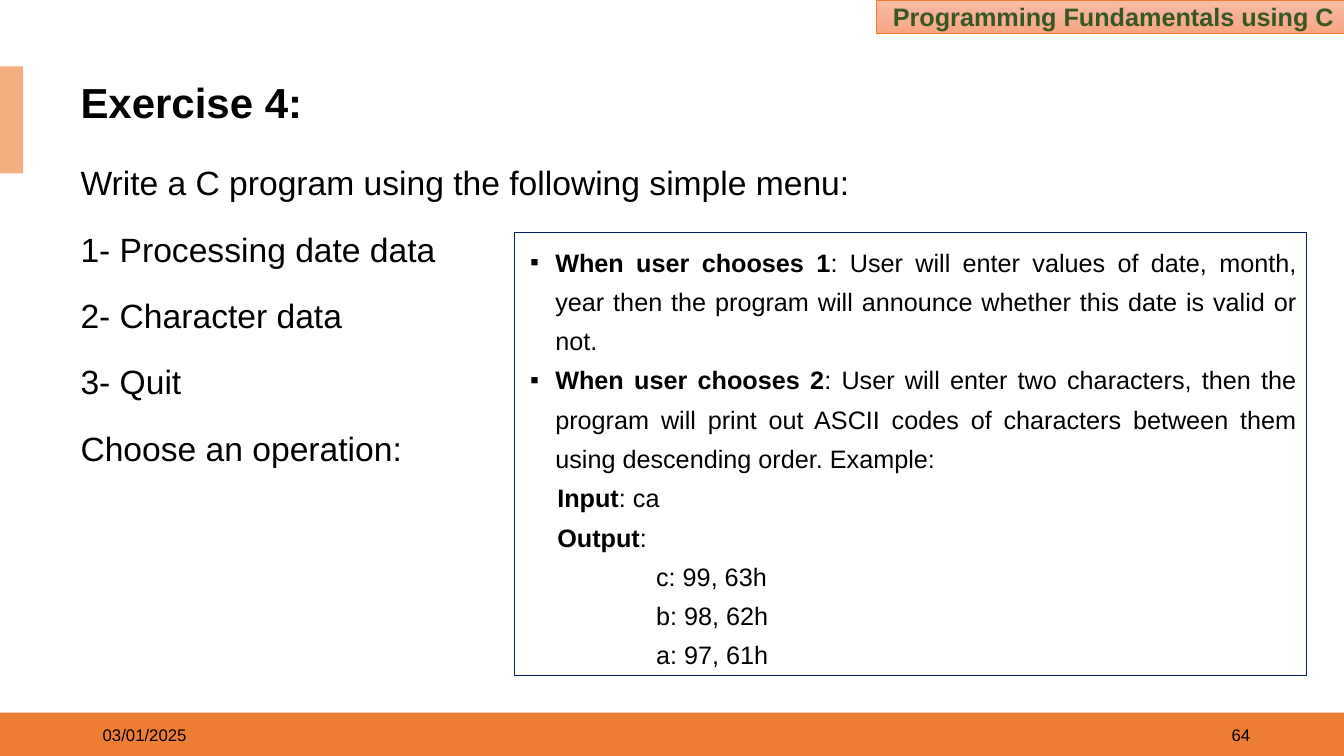
from copy import deepcopy

from lxml.etree import SubElement as Sub
from pptx import Presentation
from pptx.dml.color import RGBColor as RGB
from pptx.enum.shapes import MSO_SHAPE as Kind
from pptx.enum.text import MSO_ANCHOR as Anchor, MSO_AUTO_SIZE as Fit, PP_ALIGN as Align
from pptx.oxml.ns import qn
from pptx.util import Inches, Pt

HUES = {
    "bar": "ED7D31", "tab": "F4AF80", "tag": "385723", "ink": "000000",
    "paper": "FFFFFF", "navy": "002060",
}
BLEND = [(0, "F7BDA5"), (0.5, "F5B196"), (1, "F8A582")]

MENU = [
    "Write a C program using the following simple menu:",
    "1- Processing date data",
    "2- Character data",
    "3- Quit",
    "Choose an operation:",
]
# Each task line: left margin, bullet, bold part, plain part
TASKS = [
    (0.31, "▪", "When user chooses 1", ": User will enter values of date, month, year then "
     "the program will announce whether this date is valid or not."),
    (0.31, "▪", "When user chooses 2", ": User will enter two characters, then the program "
     "will print out ASCII codes of characters between them using descending order. Example:"),
    (0.33, "", "Input", ": ca"),
    (0.33, "", "Output", ":"),
    (1.31, "", "", "c: 99, 63h"),
    (1.31, "", "", "b: 98, 62h"),
    (1.31, "", "", "a: 97, 61h"),
]


def apply(item, **vals):
    for key, val in vals.items():
        setattr(item, key, val)


def tone(name):
    return RGB.from_string(HUES[name])


class Deck:
    """Holds the style and the current slide."""

    def __init__(self, font="Arial"):
        self.font = font
        self.prs = Presentation()
        apply(self.prs, slide_width=Inches(13.33), slide_height=Inches(7.5))
        self.slide = self.prs.slides.add_slide(self.prs.slide_layouts[6])

    def rect(self, area, fill=None, line=None, width=0.75):
        box = self.slide.shapes.add_shape(Kind.RECTANGLE, *map(Inches, area))
        box.shadow.inherit = False
        self.paint(box, fill)
        if line:
            box.line.color.rgb = tone(line)
            box.line.width = Pt(width)
        else:
            box.line.fill.background()
        return box

    def paint(self, box, fill):
        if fill:
            box.fill.solid()
            box.fill.fore_color.rgb = tone(fill)
        else:
            box.fill.background()

    def blend(self, box, stops):
        """Fill a box with a top-down gradient."""
        box.fill.gradient()
        box.fill.gradient_angle = 270
        first = box._element.spPr.find(qn("a:gradFill")).find(qn("a:gsLst"))[0]
        for _ in stops[2:]:
            first.addnext(deepcopy(first))
        for stop, (pos, hue) in zip(box.fill.gradient_stops, stops):
            stop.color.rgb = RGB.from_string(hue)
            stop.position = pos

    def text(self, area, fill=None):
        box = self.slide.shapes.add_textbox(*map(Inches, area))
        self.paint(box, fill)
        return box

    def frame(self, box, anchor=Anchor.MIDDLE, fit=Fit.NONE):
        apply(box.text_frame, word_wrap=True, vertical_anchor=anchor, auto_size=fit)

    def para(self, box, runs, size, hue="ink", left=0, bullet="", **form):
        """Add a paragraph of (text, bold) runs, using the empty first one if free."""
        body = box.text_frame
        para = body.paragraphs[0]
        if para.runs:
            para = body.add_paragraph()
        props = para._p.get_or_add_pPr()
        if left:
            props.set("marL", str(Inches(left)))
        if bullet:
            props.set("indent", str(Inches(-0.25)))
            Sub(props, qn("a:buFont"), typeface=self.font)
            Sub(props, qn("a:buChar"), char=bullet)
        apply(para, **form)
        for words, bold in runs:
            if words:
                run = para.add_run()
                run.text = words
                apply(run.font, name=self.font, size=Pt(size), bold=bold)
                run.font.color.rgb = tone(hue)

    def label(self, box, words, size, bold=False, **form):
        self.frame(box)
        self.para(box, [(words, bold)], size, **form)


def main():
    deck = Deck()
    deck.rect((0, 7.07, 13.33, 0.43), "bar")
    deck.rect((0, 0.66, 0.23, 1.06), "tab")

    tag = deck.rect((8.69, 0, 4.64, 0.33), line="bar", width=0.5)
    deck.blend(tag, BLEND)
    deck.label(tag, "Programming Fundamentals using C", 18, True, hue="tag",
               alignment=Align.RIGHT)

    title = deck.text((0.7, 0.79, 12.12, 0.51), "paper")
    deck.label(title, "Exercise 4:", 30, True, line_spacing=0.9)

    menu = deck.text((0.7, 1.44, 12.12, 5.89))
    deck.frame(menu, Anchor.TOP)
    for num, words in enumerate(MENU):
        deck.para(menu, [(words, False)], 24, alignment=Align.JUSTIFY,
                  line_spacing=1.3, space_before=Pt(10 if num else 0))

    for left, words, side in [(9.5, "64", Align.RIGHT), (0.92, "03/01/2025", Align.LEFT)]:
        deck.label(deck.text((left, 7.09, 3, 0.4)), words, 12, alignment=side)

    tasks = deck.rect((5.1, 2.31, 7.86, 4.39), line="navy")
    deck.frame(tasks, Anchor.TOP, Fit.SHAPE_TO_FIT_TEXT)
    for left, bullet, head, rest in TASKS:
        deck.para(tasks, [(head, True), (rest, False)], 18, left=left, bullet=bullet,
                  alignment=Align.JUSTIFY if bullet else Align.LEFT, line_spacing=1.3)

    deck.prs.save("out.pptx")


if __name__ == "__main__":
    main()
